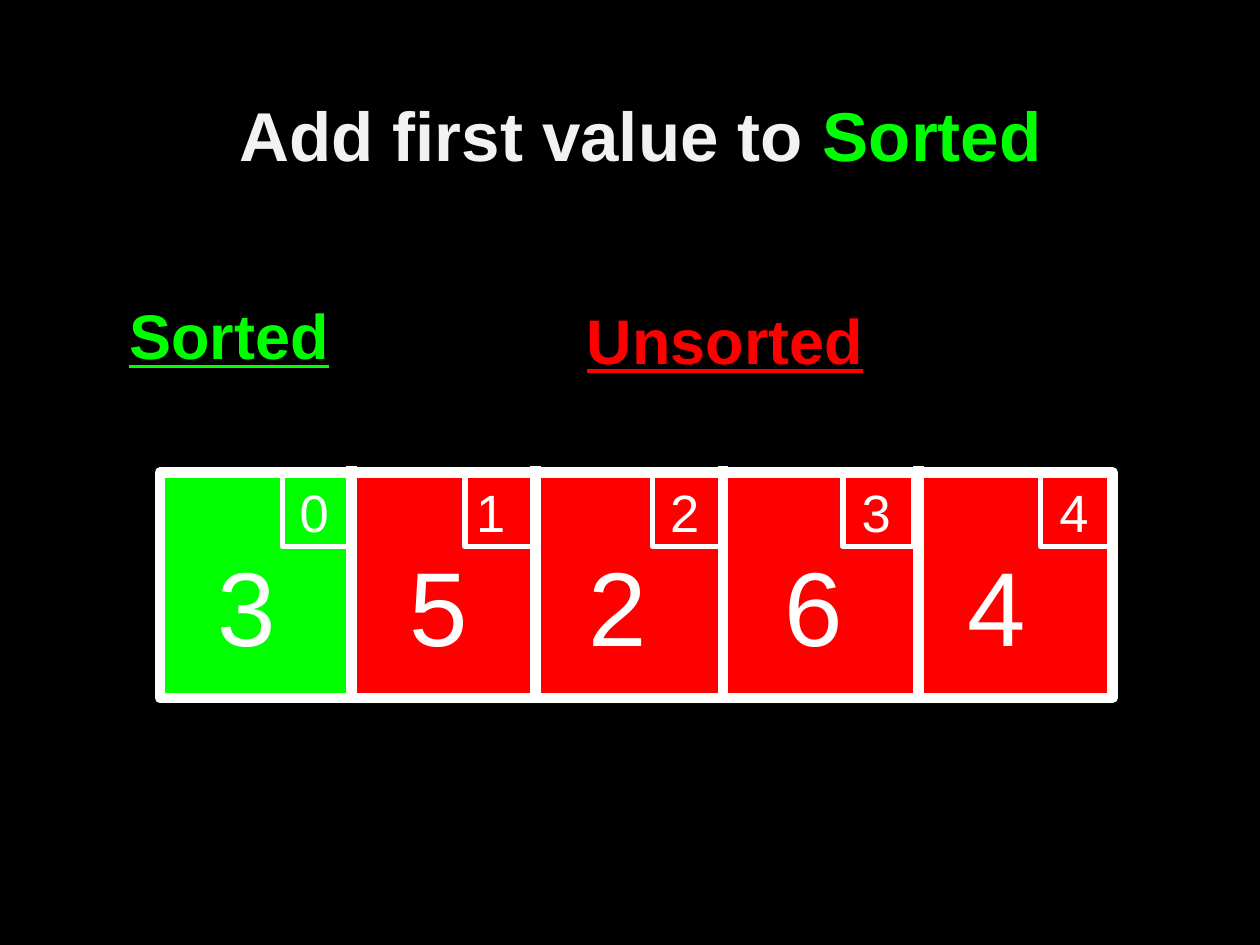
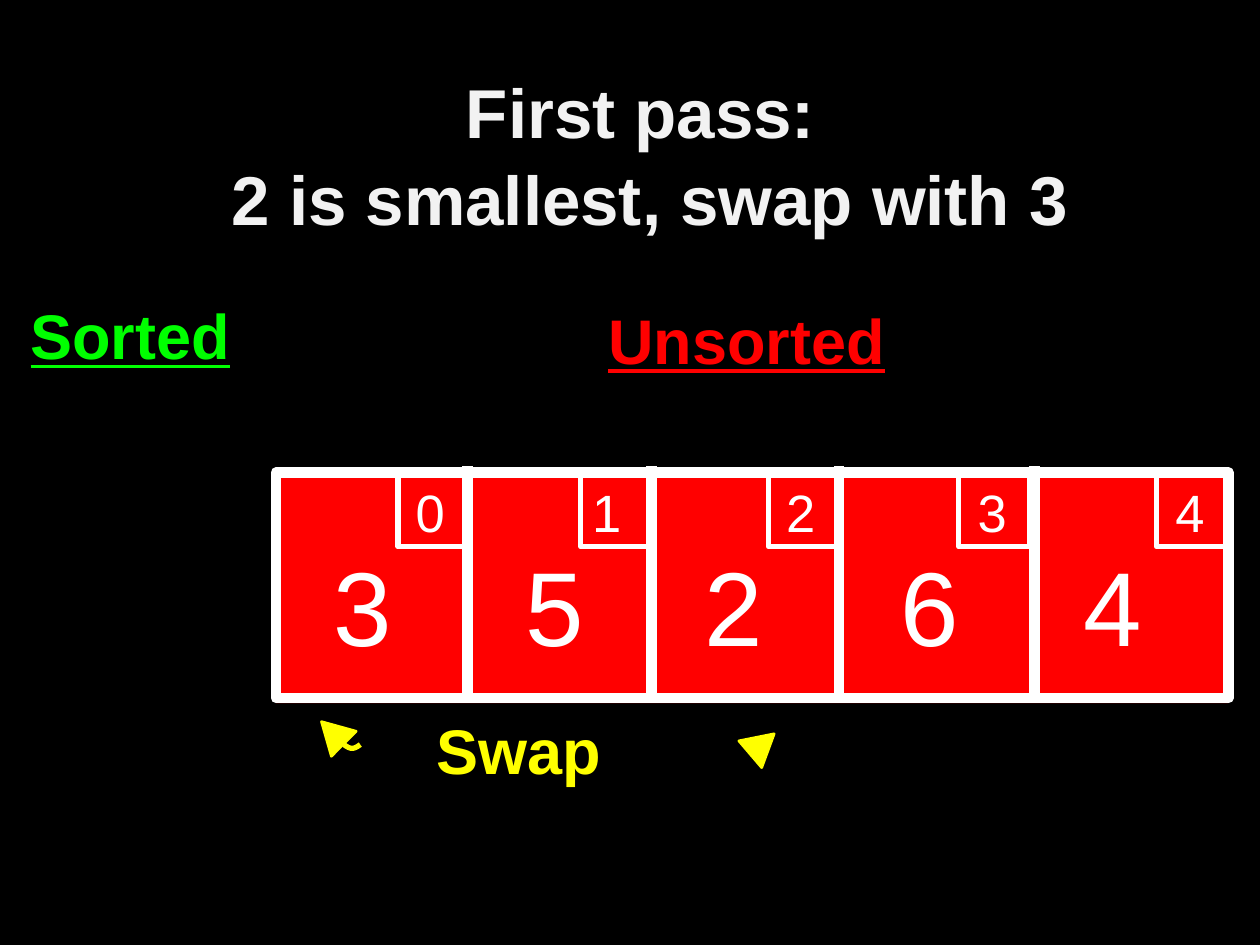
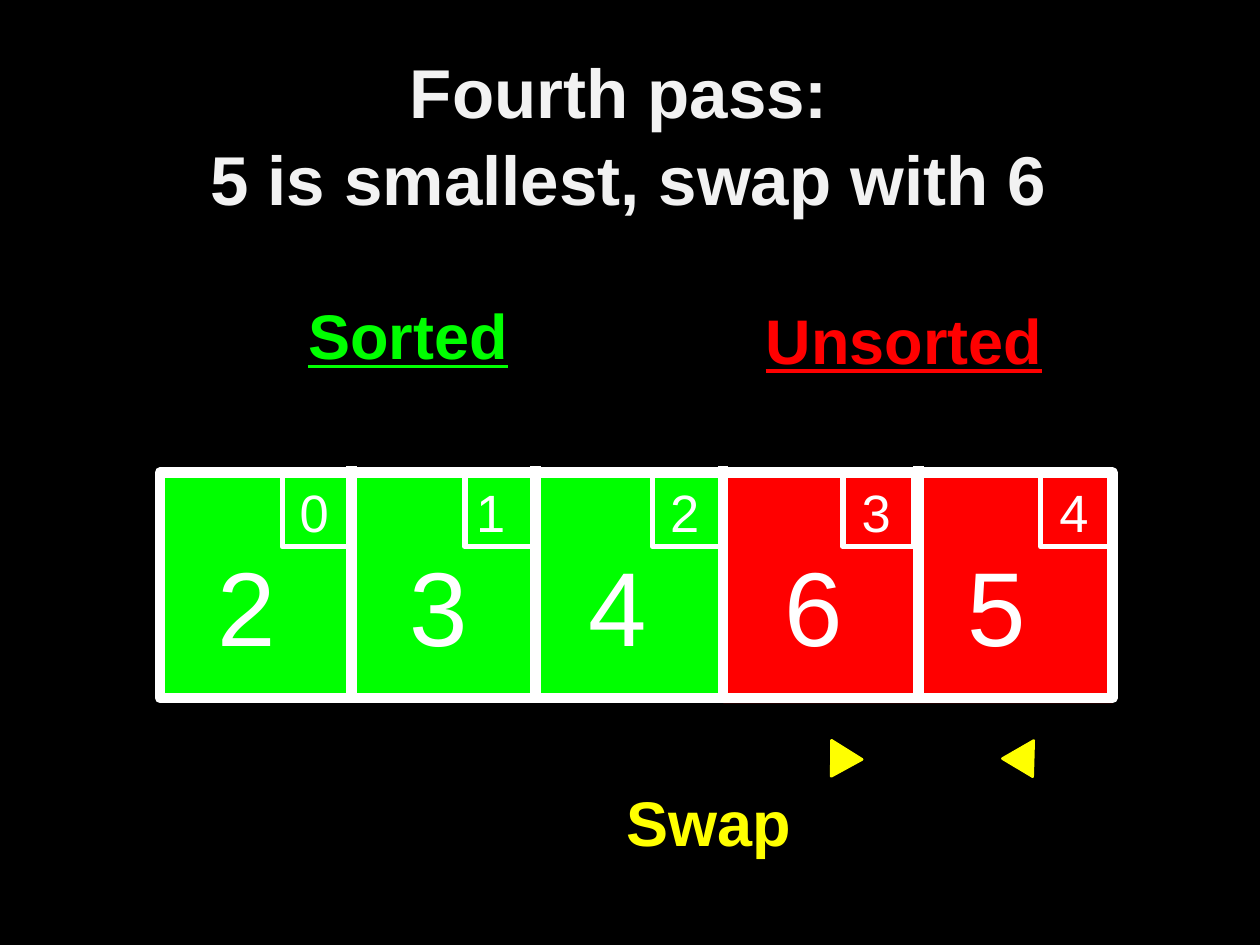
"""Build three slides that walk through a selection sort."""
import math

import pptx
import pptx.dml.color
import pptx.enum.shapes
import pptx.enum.text
import pptx.util
from lxml import etree

Inches = pptx.util.Inches
Pt = pptx.util.Pt
KINDS = pptx.enum.shapes.MSO_SHAPE
MIDDLE = pptx.enum.text.MSO_ANCHOR.MIDDLE
CENTER = pptx.enum.text.PP_ALIGN.CENTER
COLORS = {"back": "000000", "title": "F2F2F2", "white": "FFFFFF",
          "green": "00FF00", "red": "FF0000", "yellow": "FFFF00"}
FONT = "Arial"
EDGES = [0, 1.52, 2.98, 4.47, 6.02, 7.56]
DIGITS = [0.36, 1.88, 3.3, 4.86, 6.31]
TABS = [0.97, 2.42, 3.91, 5.42, 6.99]
INDEXES = [1.01, 2.41, 3.95, 5.47, 7.04]


def shade(name):
    """Return the named colour."""
    return pptx.dml.color.RGBColor.from_string(COLORS[name])


def style(shape, fill=None, line=None, width=0):
    """Set the fill and outline of a shape, with no shadow."""
    shape.shadow.inherit = False
    if fill:
        shape.fill.solid()
        shape.fill.fore_color.rgb = shade(fill)
    else:
        shape.fill.background()
    if line:
        shape.line.color.rgb = shade(line)
        shape.line.width = Pt(width)
    else:
        shape.line.fill.background()


def draw(slide, box, fill=None, line=None, width=0, kind=KINDS.RECTANGLE):
    """Add a preset shape in the box."""
    shape = slide.shapes.add_shape(kind, *map(Inches, box))
    style(shape, fill, line, width)
    return shape


def dress(para, size, color, bold=False):
    """Set the font of a paragraph."""
    para.font.name = FONT
    para.font.size = Pt(size)
    para.font.bold = bold
    para.font.color.rgb = shade(color)


def frame(slide, box):
    """Add a wrapping text box and return its frame."""
    text = slide.shapes.add_textbox(*map(Inches, box)).text_frame
    text.word_wrap = True
    return text


def digit(slide, box, value, size):
    """Write one number in the box."""
    text = frame(slide, box)
    text.margin_top = text.margin_bottom = Inches(0.1)
    text.paragraphs[0].text = str(value)
    dress(text.paragraphs[0], size, "white")


def label(slide, box, word, color, right=0.1, line=True):
    """Write a bold centred word in the box."""
    text = frame(slide, box)
    text.vertical_anchor = MIDDLE
    text.margin_right = Inches(right)
    para = text.paragraphs[0]
    para.text = word
    para.alignment = CENTER
    dress(para, 36, color, True)
    para.font.underline = line


def title(slide, left, top, lines):
    """Write the title, whose lines are lists of text and colour."""
    text = frame(slide, (left, top, 7.04, 1.21))
    text.vertical_anchor = MIDDLE
    for rank, parts in enumerate(lines):
        para = text.add_paragraph() if rank else text.paragraphs[0]
        para.alignment = CENTER
        if rank:
            para.space_before = Pt(2)
        dress(para, 39.5, "title", True)
        for words, color in parts:
            run = para.add_run()
            run.text = words
            if color != "title":
                run.font.color.rgb = shade(color)


def array(slide, left, top, values, done):
    """Draw the array, its first cells sorted and the rest unsorted."""
    wide, split = EDGES[-1], EDGES[done]
    draw(slide, (left + split, top + 0.04, wide - split, 1.79), "red")
    if done:
        draw(slide, (left + 0.01, top - 0.02, split - 0.01, 1.82), "green")
    draw(slide, (left, top, wide, 1.79), None, "white", 6)
    for edge in EDGES[1:-1]:
        ends = (left + edge, top - 0.05, left + edge, top + 1.77)
        rule = slide.shapes.add_connector(
            pptx.enum.shapes.MSO_CONNECTOR.STRAIGHT, *map(Inches, ends))
        rule.line.color.rgb = shade("white")
        rule.line.width = Pt(6)
        etree.SubElement(rule.line._get_or_add_ln().getparent(),
                         pptx.oxml.ns.qn("a:effectLst"))
    for rank, value in enumerate(values):
        draw(slide, (left + TABS[rank], top - 0.01, 0.56, 0.6), None, "white", 3)
        digit(slide, (left + INDEXES[rank], top - 0.04, 0.48, 0.65), rank, 30)
        digit(slide, (left + DIGITS[rank], top + 0.45, 0.9, 1.13), value, 60)


def swap(slide, hook, heads, box):
    """Draw the swap mark: a hook, two turned heads and a word."""
    left, top = hook
    path = [(Inches(left + 0.13 * step / 8),
             Inches(top + 0.03 * math.sin(math.pi * step / 8)))
            for step in range(9)]
    pen = slide.shapes.build_freeform(*path[0])
    pen.add_line_segments(path[1:], close=False)
    style(pen.convert_to_shape(), None, "yellow", 3)
    for x, y, turn in heads:
        head = draw(slide, (x, y, 0.28, 0.25), "yellow", "yellow", 1.5,
                    KINDS.ISOSCELES_TRIANGLE)
        head.rotation = turn
    label(slide, box, "Swap", "yellow", 0.55, False)


def page(deck, left, values, done, green, red, head):
    """Add a slide with title, array and the two group labels."""
    slide = deck.slides.add_slide(deck.slide_layouts[6])
    slide.background.fill.solid()
    slide.background.fill.fore_color.rgb = shade("back")
    array(slide, left, 3.75, values, done)
    label(slide, (red, 1.65, 4.83, 2.08), "Unsorted", "red")
    label(slide, (green[0], 1.7, green[1], 1.91), "Sorted", "green", 0.55)
    title(slide, *head)
    return slide


def main():
    """Build and save the deck."""
    deck = pptx.Presentation()
    deck.slide_width, deck.slide_height = Inches(10), Inches(7.5)
    page(deck, 1.27, [3, 5, 2, 6, 4], 1, (-0.37, 4.83), 3.34,
         (1.64, 0.46, [[("Add first value to ", "title"),
                        ("Sorted ", "green")]]))
    first = page(deck, 2.19, [3, 5, 2, 6, 4], 0, (0.12, 2.28), 3.51,
                 (1.64, 0.62, [[("First pass: ", "title")],
                               [("2 is smallest, swap with 3", "title")]]))
    swap(first, (2.73, 5.91), [(2.5, 5.69, 314.8), (5.91, 5.78, 49.5)],
         (1.93, 4.99, 4.83, 1.91))
    fourth = page(deck, 1.27, [2, 3, 4, 6, 5], 3, (1.05, 4.83), 4.76,
                  (1.47, 0.46, [[("Fourth pass: ", "title")],
                                [("5 is smallest, swap with 6", "title")]]))
    swap(fourth, (6.61, 5.99), [(6.52, 5.86, 331.3), (8, 5.86, 30.9)],
         (4, 5.56, 3.7, 1.91))
    deck.save("out.pptx")


if __name__ == "__main__":
    main()
